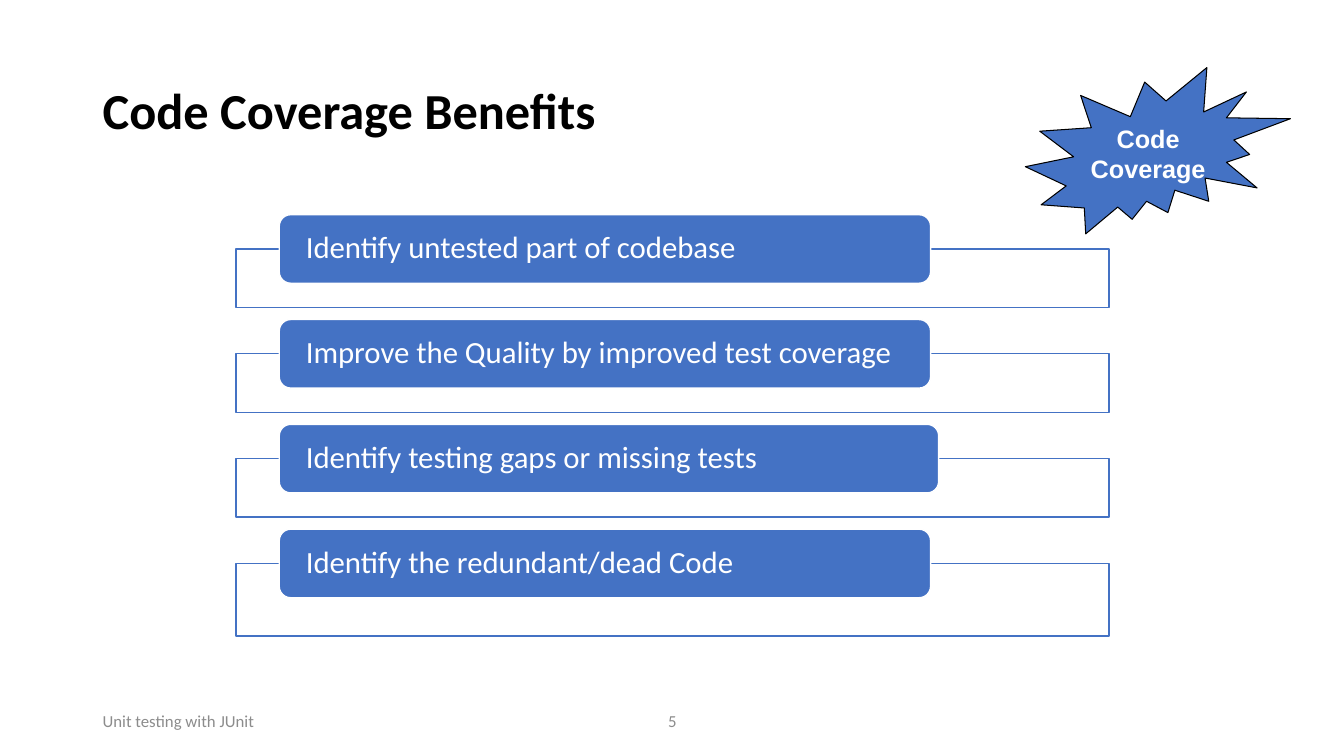
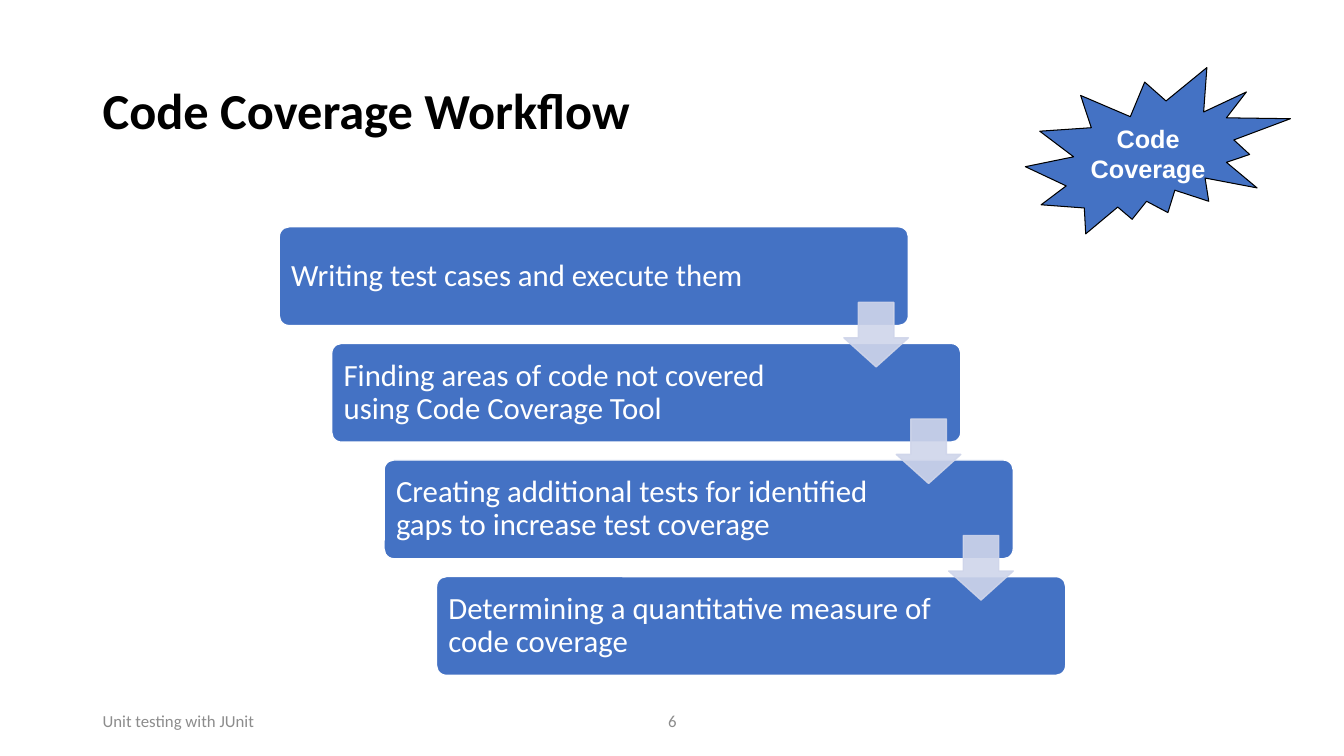
from lxml.etree import SubElement
from pptx import Presentation
from pptx.dml.color import RGBColor
from pptx.enum.shapes import MSO_SHAPE as SHAPE
from pptx.enum.text import MSO_ANCHOR as ANCHOR, PP_ALIGN as ALIGN
from pptx.oxml.ns import qn
from pptx.util import Inches, Pt

COLORS = {
    "blue": "4472C4",
    "pale": "CFD5EA",
    "white": "FFFFFF",
    "black": "000000",
    "gray": "8C8C8C",
}
FOOTER = "Unit testing with JUnit"
BENEFITS = [
    "Identify untested part of codebase",
    "Improve the Quality by improved test coverage",
    "Identify testing gaps or missing tests",
    "Identify the redundant/dead Code",
]
STEPS = [
    "Writing test cases and execute them",
    "Finding areas of code not covered using Code Coverage Tool",
    "Creating additional tests for identified gaps to increase test coverage",
    "Determining a quantitative measure of code coverage",
]


def write(sp, text, size, color="white", font="Calibri", bold=False,
          align=ALIGN.LEFT, spacing=1.0, margins=(0.1, 0.05, 0.1, 0.05), wrap=True):
    tf = sp.text_frame
    tf.word_wrap = wrap
    tf.vertical_anchor = ANCHOR.MIDDLE
    (tf.margin_left, tf.margin_top,
     tf.margin_right, tf.margin_bottom) = map(Inches, margins)
    for i, line in enumerate(text.split("\n")):
        p = tf.add_paragraph() if i else tf.paragraphs[0]
        p.alignment = align
        p.line_spacing = spacing
        r = p.add_run()
        r.text = line
        r.font.name = font
        r.font.size = Pt(size)
        r.font.bold = bold
        r.font.color.rgb = RGBColor.from_string(COLORS[color])


class Deck:
    def __init__(self):
        self.prs = Presentation()
        self.prs.slide_width = Inches(13.33)
        self.prs.slide_height = Inches(7.5)
        self.s = None

    def slide(self, title, number):
        self.s = self.prs.slides.add_slide(self.prs.slide_layouts[6])
        self.text(FOOTER, 0.92, 6.95, 3, 0.4, size=12, color="gray")
        self.text(str(number), 4.42, 6.95, 4.5, 0.4, size=12, color="gray",
                  align=ALIGN.CENTER)
        self.text(title, 0.92, 0.4, 11.5, 1.45, size=36, color="black",
                  bold=True, spacing=0.9)
        seal = self.shape(SHAPE.EXPLOSION2, 10.17, 0.67, 2.63, 1.65,
                          line="black", weight=0.75)
        write(seal, "Code\nCoverage", 18, font="Arial", bold=True,
              align=ALIGN.CENTER, wrap=False)

    def text(self, text, x, y, w, h, **fmt):
        sp = self.s.shapes.add_textbox(*map(Inches, (x, y, w, h)))
        write(sp, text, **fmt)

    def shape(self, kind, x, y, w, h, fill="blue", line="white", weight=1, adj=()):
        sp = self.s.shapes.add_shape(kind, *map(Inches, (x, y, w, h)))
        sp.shadow.inherit = False
        sp.fill.solid()
        sp.fill.fore_color.rgb = RGBColor.from_string(COLORS[fill])
        sp.line.color.rgb = RGBColor.from_string(COLORS[line])
        sp.line.width = Pt(weight)
        for i, value in enumerate(adj):
            sp.adjustments[i] = value
        return sp

    def benefit(self, text, y, frame_height, pill_width):
        self.shape(SHAPE.RECTANGLE, 2.34, y + 0.34, 8.66, frame_height,
                   fill="white", line="blue")
        pill = self.shape(SHAPE.ROUNDED_RECTANGLE, 2.77, y, pill_width, 0.68)
        write(pill, text, 22, spacing=0.9, margins=(0.23, 0, 0.23, 0))

    def step(self, text, x, y):
        box = self.shape(SHAPE.ROUNDED_RECTANGLE, x, y, 6.24, 0.98, adj=(0.1,))
        write(box, text, 22, spacing=0.9, margins=(0.09, 0.09, 1.25, 0.09))

    def arrow(self, x, y):
        sp = self.shape(SHAPE.DOWN_ARROW, x, y, 0.64, 0.64, fill="pale",
                        line="pale", adj=(0.55, 0.45))
        for clr in sp._element.spPr.iter(qn("a:srgbClr")):
            SubElement(clr, qn("a:alpha"), val="90000")


def main():
    deck = Deck()

    deck.slide("Code Coverage Benefits", 5)
    frame_heights = [0.58, 0.58, 0.58, 0.72]
    pill_widths = [6.46, 6.46, 6.54, 6.46]
    for i, row in enumerate(zip(BENEFITS, frame_heights, pill_widths)):
        text, height, width = row
        deck.benefit(text, 2.13 + 1.04 * i, height, width)

    deck.slide("Code Coverage Workflow", 6)
    drop = (5.72 - 2.25) / (len(STEPS) - 1)
    corners = [(2.77 + 0.52 * i, 2.25 + drop * i) for i in range(len(STEPS))]
    for text, (x, y) in zip(STEPS, corners):
        deck.step(text, x, y)
    for x, y in corners[:-1]:
        deck.arrow(x + 5.6, y + 0.75)

    deck.prs.save("out.pptx")


if __name__ == "__main__":
    main()
